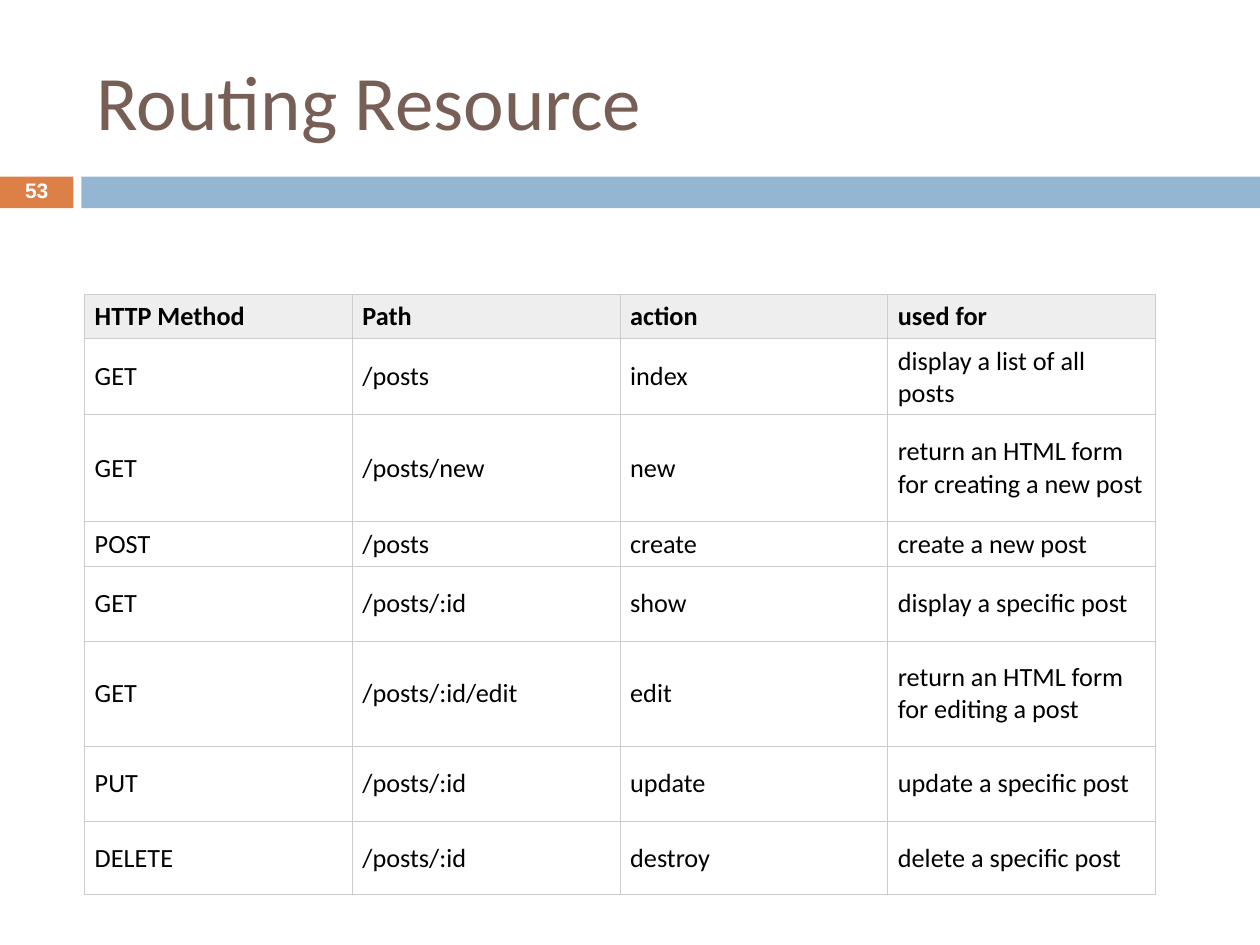
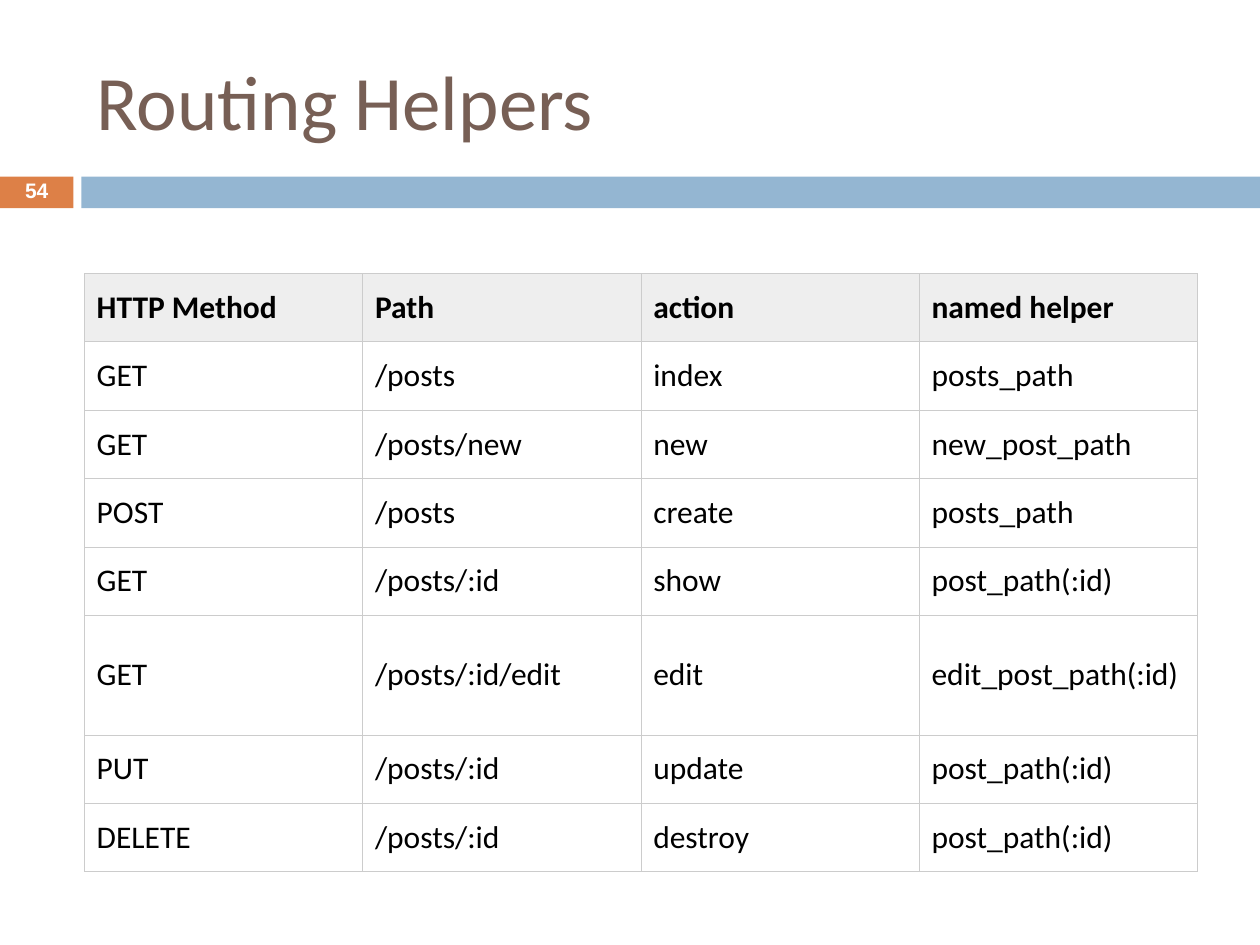
import pptx
import pptx.dml.color
import pptx.enum.shapes
import pptx.enum.text
import pptx.oxml
import pptx.oxml.ns
import pptx.util
from pptx.util import Cm

# Shared look
ORANGE, BLUE, BROWN = "DD8047", "94B6D2", "775F55"
HEADER_GREY, BORDER_GREY, WHITE, BLACK = "EEEEEE", "CCCCCC", "FFFFFF", "000000"
BODY_FONT, NUMBER_FONT = "Calibri", "Arial"
PAGE_WIDTH, PAGE_HEIGHT = 25.4, 19.05
BORDER_WIDTH = pptx.util.Pt(0.34)

# Boxes in centimetres: left, top, width, height
TITLE_BOX = (1.7, 0.64, 22.66, 2.74)
BAND_BOX = (0, 3.56, PAGE_WIDTH, 0.64)

# Routes that both tables list
ROUTE_HEADINGS = ("HTTP Method", "Path", "action")
ROUTES = [
    ("GET", "/posts", "index"),
    ("GET", "/posts/new", "new"),
    ("POST", "/posts", "create"),
    ("GET", "/posts/:id", "show"),
    ("GET", "/posts/:id/edit", "edit"),
    ("PUT", "/posts/:id", "update"),
    ("DELETE", "/posts/:id", "destroy"),
]
USES = [
    "used for",
    "display a list of all posts",
    "return an HTML form for creating a new post",
    "create a new post",
    "display a specific post",
    "return an HTML form for editing a post",
    "update a specific post",
    "delete a specific post",
]
HELPERS = [
    "named helper",
    "posts_path",
    "new_post_path",
    "posts_path",
    "post_path(:id)",
    "edit_post_path(:id)",
    "post_path(:id)",
    "post_path(:id)",
]


def color(value):
    return pptx.dml.color.RGBColor.from_string(value)


def write(frame, text, size, font=BODY_FONT, fill=BLACK, bold=False,
          align=pptx.enum.text.PP_ALIGN.LEFT, line_spacing=None):
    frame.word_wrap = True
    para = frame.paragraphs[0]
    para.alignment = align
    para.line_spacing = line_spacing
    span = para.add_run()
    span.text = text
    span.font.size = pptx.util.Pt(size)
    span.font.name = font
    span.font.bold = bold
    span.font.color.rgb = color(fill)


def add_text_box(page, box, text, **style):
    frame = page.shapes.add_textbox(*map(Cm, box)).text_frame
    frame.vertical_anchor = pptx.enum.text.MSO_ANCHOR.MIDDLE
    write(frame, text, **style)


def add_bar(page, box, fill):
    bar = page.shapes.add_shape(
        pptx.enum.shapes.MSO_SHAPE.RECTANGLE, *map(Cm, box))
    bar.shadow.inherit = False
    bar.fill.solid()
    bar.fill.fore_color.rgb = color(fill)
    bar.line.fill.background()


def add_band(page, box, number):
    """Orange number tab on the left, blue bar over the rest."""
    left, top, width, height = box
    tab_width, gap = 1.48, 0.16
    tab = (left, top, tab_width, height)
    offset = tab_width + gap
    add_bar(page, tab, ORANGE)
    add_bar(page, (left + offset, top, width - offset, height), BLUE)
    add_text_box(page, tab, str(number), size=12, font=NUMBER_FONT, fill=WHITE,
                 bold=True, align=pptx.enum.text.PP_ALIGN.CENTER,
                 line_spacing=0.8)


def add_borders(cell):
    properties = cell._tc.get_or_add_tcPr()
    for index, side in enumerate(("lnL", "lnR", "lnT", "lnB")):
        line = pptx.oxml.parse_xml(
            f'<a:{side} {pptx.oxml.ns.nsdecls("a")} w="{BORDER_WIDTH}">'
            f'<a:solidFill><a:srgbClr val="{BORDER_GREY}"/></a:solidFill>'
            f'</a:{side}>')
        properties.insert(index, line)


def add_route_table(page, box, last_column, row_heights, size, side_margin):
    left, top, width = box
    rows = [(*route, last)
            for route, last in zip([ROUTE_HEADINGS, *ROUTES], last_column)]
    column_count = len(rows[0])
    table = page.shapes.add_table(
        len(rows), column_count, Cm(left), Cm(top), Cm(width),
        Cm(sum(row_heights))).table
    for column in table.columns:
        column.width = Cm(width / column_count)
    for row_index, (row, height) in enumerate(zip(rows, row_heights)):
        table.rows[row_index].height = Cm(height)
        is_header = row_index == 0
        for column_index, text in enumerate(row):
            cell = table.cell(row_index, column_index)
            cell.fill.solid()
            cell.fill.fore_color.rgb = color(HEADER_GREY if is_header else WHITE)
            cell.vertical_anchor = pptx.enum.text.MSO_ANCHOR.MIDDLE
            cell.margin_left = cell.margin_right = Cm(side_margin)
            cell.margin_top = cell.margin_bottom = Cm(0.13)
            write(cell.text_frame, text, size, bold=is_header)
            add_borders(cell)


def add_route_page(deck, title, number, **table_options):
    page = deck.slides.add_slide(deck.slide_layouts[6])
    add_band(page, BAND_BOX, number)
    add_text_box(page, TITLE_BOX, title, size=44, fill=BROWN)
    add_route_table(page, **table_options)


def main():
    deck = pptx.Presentation()
    deck.slide_width, deck.slide_height = Cm(PAGE_WIDTH), Cm(PAGE_HEIGHT)
    add_route_page(
        deck, "Routing Resource", 53, box=(1.7, 5.93, 21.59),
        last_column=USES, size=15, side_margin=0.21,
        row_heights=[0.86, 1.52, 2.16, 0.86, 1.52, 2.11, 1.52, 1.47])
    add_route_page(
        deck, "Routing Helpers", 54, box=(1.7, 5.51, 22.44),
        last_column=HELPERS, size=18, side_margin=0.25,
        row_heights=[1.38] * 5 + [2.41] + [1.38] * 2)
    deck.save("out.pptx")


if __name__ == "__main__":
    main()
